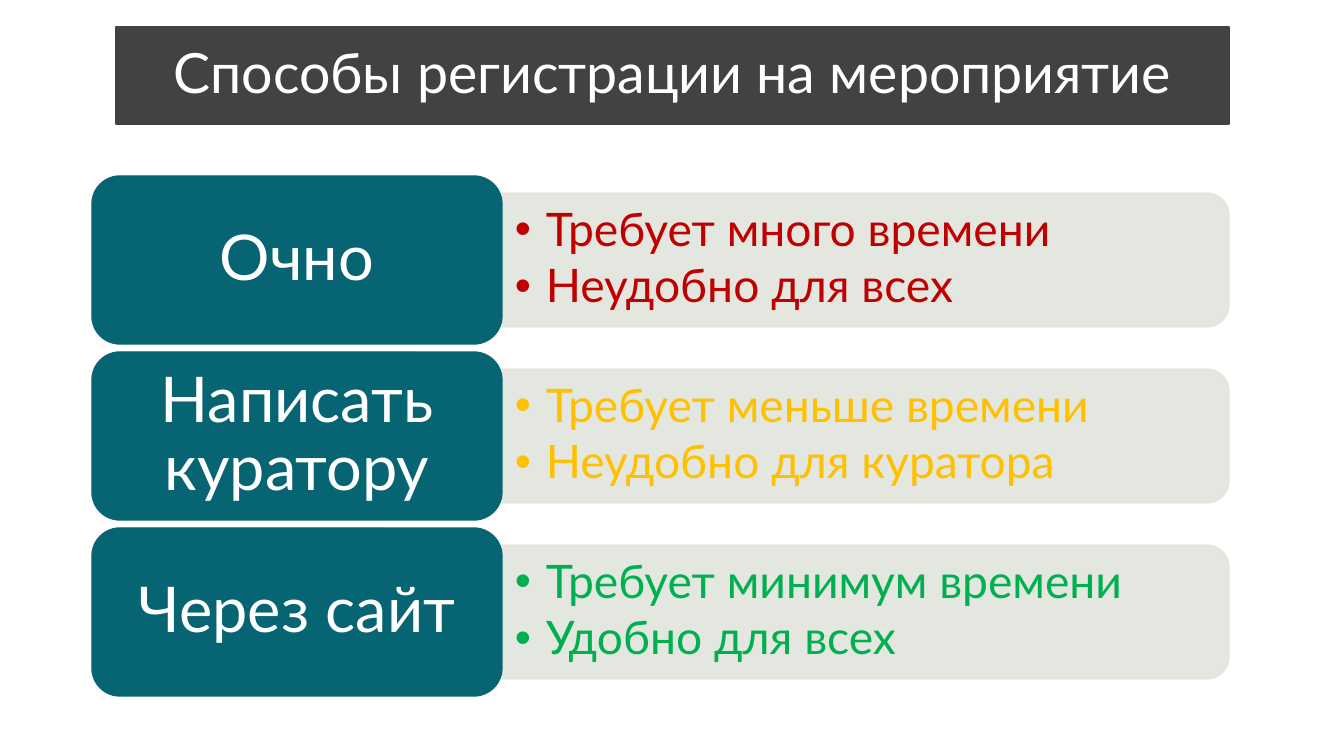
"""Build a slide that compares three ways to register for an event."""
import pptx
import pptx.dml.color
import pptx.enum.shapes
import pptx.enum.text
import pptx.oxml
import pptx.oxml.ns
import pptx.util

EMU_PER_PX = 914400 / 100.8
WHITE = pptx.dml.color.RGBColor(0xFF, 0xFF, 0xFF)
CHARCOAL = pptx.dml.color.RGBColor(0x42, 0x42, 0x42)
TEAL = pptx.dml.color.RGBColor(0x07, 0x64, 0x73)
SAGE = pptx.dml.color.RGBColor(0xE1, 0xE5, 0xDC)
RED = pptx.dml.color.RGBColor(0xC0, 0x00, 0x00)
AMBER = pptx.dml.color.RGBColor(0xFF, 0xC0, 0x00)
GREEN = pptx.dml.color.RGBColor(0x00, 0xB0, 0x50)

SHAPES = pptx.enum.shapes.MSO_SHAPE
CENTER = pptx.enum.text.PP_ALIGN.CENTER
LEFT = pptx.enum.text.PP_ALIGN.LEFT
FIRST_ROW, ROW_PITCH = 176, 176
METHODS = [
    ("Очно", RED, ["Требует много времени", "Неудобно для всех"]),
    ("Написать куратору", AMBER, ["Требует меньше времени", "Неудобно для куратора"]),
    ("Через сайт", GREEN, ["Требует минимум времени", "Удобно для всех"]),
]


def px(length):
    return pptx.util.Emu(round(length * EMU_PER_PX))


def apply_format(target, values):
    for name, value in values.items():
        setattr(target, name, value)


def paint(shape, color):
    shape.fill.solid()
    shape.fill.fore_color.rgb = color
    shape.line.color.rgb = color
    shape.line.width = pptx.util.Pt(1)


def set_frame(shape, side, edge):
    apply_format(shape.text_frame, {
        "word_wrap": True,
        "auto_size": pptx.enum.text.MSO_AUTO_SIZE.NONE,
        "vertical_anchor": pptx.enum.text.MSO_ANCHOR.MIDDLE,
        "margin_left": px(side), "margin_right": px(side),
        "margin_top": px(edge), "margin_bottom": px(edge),
    })


def write(para, text, size, color, align):
    apply_format(para, {"alignment": align, "line_spacing": 0.9})
    span = para.add_run()
    span.text = text
    apply_format(span.font, {"name": "Lato", "size": pptx.util.Pt(size)})
    span.font.color.rgb = color


def add_bullet(para):
    properties = para._p.get_or_add_pPr()
    properties.set("marL", str(px(31)))
    properties.set("indent", str(px(-31)))
    namespace = pptx.oxml.ns.nsdecls("a")
    for markup in (f'<a:buFont {namespace} typeface="Arial"/>',
                   f'<a:buChar {namespace} char="•"/>'):
        properties.append(pptx.oxml.parse_xml(markup))


def format_title(page, text):
    title = page.shapes.title
    apply_format(title, {"left": px(116), "top": px(27),
                         "width": px(1113), "height": px(97)})
    paint(title, CHARCOAL)
    set_frame(title, 10, 5)
    write(title.text_frame.paragraphs[0], text, 39.6, WHITE, CENTER)


def add_panel(page, left, top, width, height):
    panel = page.shapes.add_shape(
        SHAPES.ROUND_2_SAME_RECTANGLE,
        px(left + (width - height) / 2), px(top + (height - width) / 2),
        px(height), px(width))
    panel.rotation = 90
    panel.shadow.inherit = False
    paint(panel, SAGE)
    for color in panel._element.spPr.iter(pptx.oxml.ns.qn("a:srgbClr")):
        color.append(pptx.oxml.parse_xml(
            f'<a:alpha {pptx.oxml.ns.nsdecls("a")} val="90000"/>'))


def add_bullets(page, left, top, width, height, lines, color):
    box = page.shapes.add_textbox(px(left), px(top), px(width), px(height))
    set_frame(box, 14, 7)
    frame = box.text_frame
    for index, line in enumerate(lines):
        para = frame.add_paragraph() if index else frame.paragraphs[0]
        para.space_after = pptx.util.Pt(5)
        add_bullet(para)
        write(para, line, 33, color, LEFT)


def add_card(page, left, top, width, height, text):
    card = page.shapes.add_shape(
        SHAPES.ROUNDED_RECTANGLE, px(left), px(top), px(width), px(height))
    card.shadow.inherit = False
    paint(card, TEAL)
    set_frame(card, 19, 9)
    write(card.text_frame.paragraphs[0], text, 45, WHITE, CENTER)


def main():
    deck = pptx.Presentation()
    apply_format(deck, {"slide_width": px(1344), "slide_height": px(756)})
    page = deck.slides.add_slide(deck.slide_layouts.get_by_name("Title Only"))
    format_title(page, "Способы регистрации на мероприятие")
    for row, (name, color, lines) in enumerate(METHODS):
        top = FIRST_ROW + row * ROW_PITCH
        add_panel(page, 502, top + 17, 727, 134)
        add_bullets(page, 501, top + 23, 721, 121, lines, color)
        add_card(page, 92, top, 410, 168, name)
    deck.save("out.pptx")


if __name__ == "__main__":
    main()
